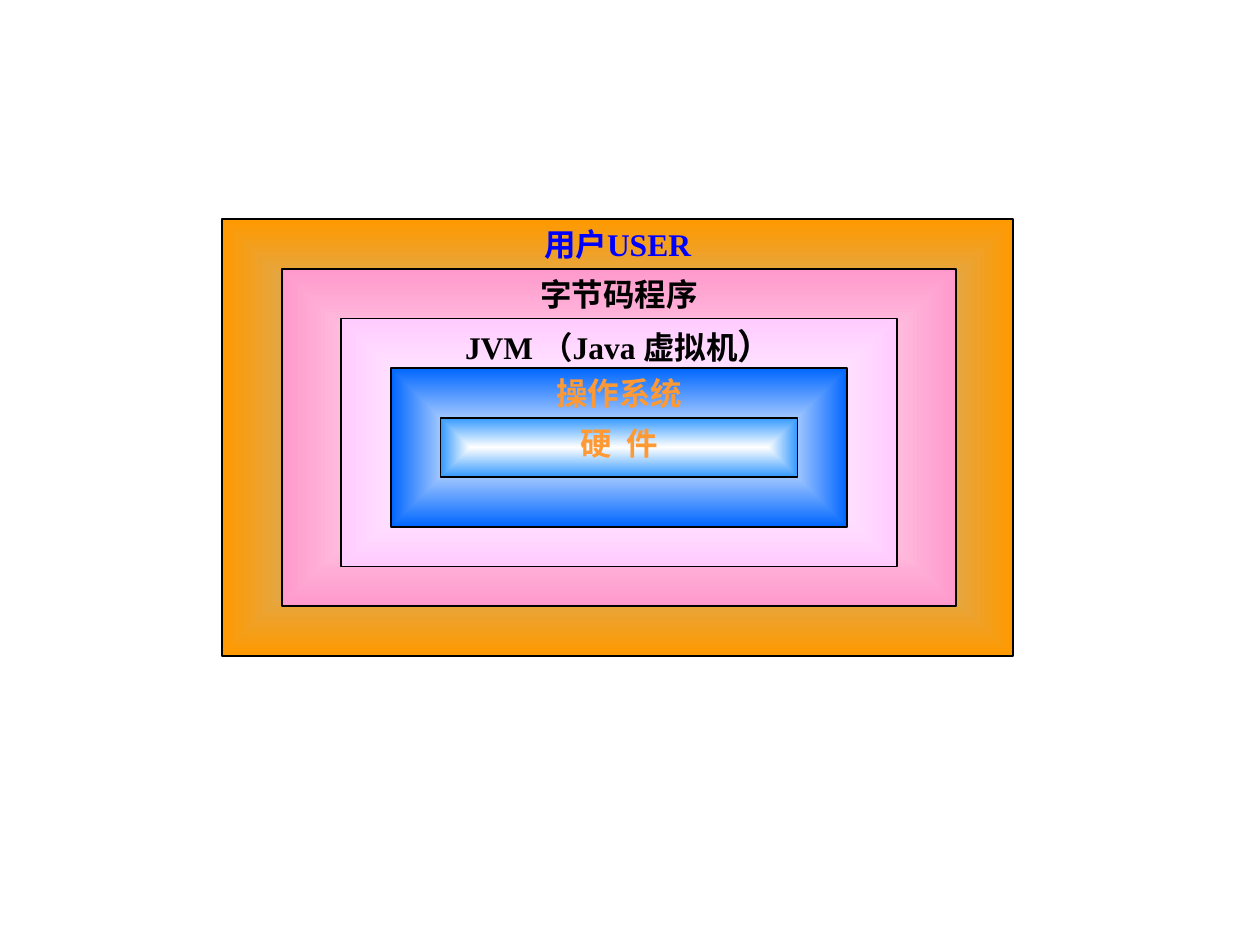
import pptx
import pptx.dml.color
import pptx.enum.shapes
import pptx.enum.text
import pptx.oxml.ns
import pptx.util
from lxml import etree

Cm = pptx.util.Cm
qn = pptx.oxml.ns.qn

LAYERS = [
    (0, 15.94, 8.8, "99CCFF", "FF9900", "0000FF", [("用户USER", 18)]),
    (1.2, 13.6, 6.8, "FFFFFF", "FF99CC", "000000", [("字节码程序", 18)]),
    (2.4, 11.2, 5, "FFFFFF", "FFCCFF", "000000", [("JVM （Java 虚拟机", 18), ("）", 20)]),
    (3.4, 9.2, 3.2, "FFFFFF", "0066FF", "FF9933", [("操作系统", 18)]),
    (4.4, 7.2, 1.2, "FFFFFF", "3399FF", "FF9933", [("硬  件", 18)]),
]


def tint(code):
    """Turn a hex string into a colour."""
    return pptx.dml.color.RGBColor.from_string(code)


def write(para, text, size=18, color="000000", bold=True, face="Times New Roman"):
    """Add one formatted run to a paragraph."""
    run = para.add_run()
    run.text = text
    run.font.size = pptx.util.Pt(size)
    run.font.bold = bold
    run.font.name = face
    run.font.color.rgb = tint(color)


def glow(shape, inner, outer):
    """Fill a shape with a gradient from its centre to its edge."""
    shape.fill.gradient()
    for stop, code, place in zip(shape.fill.gradient_stops, (inner, outer), (0, 1)):
        stop.color.rgb = tint(code)
        stop.position = place
    grad = shape.element.spPr.find(qn("a:gradFill"))
    grad.remove(grad.find(qn("a:lin")))
    route = etree.SubElement(grad, qn("a:path"), {"path": "shape"})
    etree.SubElement(route, qn("a:fillToRect"), dict.fromkeys("ltrb", "50000"))


def layer(slide, left, top, width, height, inner, outer, color, parts):
    """Draw one layer with its label at the top."""
    shape = slide.shapes.add_shape(
        pptx.enum.shapes.MSO_SHAPE.RECTANGLE, Cm(left), Cm(top), Cm(width), Cm(height)
    )
    shape.shadow.inherit = False
    glow(shape, inner, outer)
    shape.line.color.rgb = tint("000000")
    shape.line.width = pptx.util.Pt(1)
    frame = shape.text_frame
    frame.word_wrap = True
    frame.vertical_anchor = pptx.enum.text.MSO_ANCHOR.TOP
    para = frame.paragraphs[0]
    para.alignment = pptx.enum.text.PP_ALIGN.CENTER
    for text, size in parts:
        write(para, text, size=size, color=color)


def stack(slide, left, top, step=1):
    """Nest the layers, each one step below the top of the last."""
    for level, (inset, *rest) in enumerate(LAYERS):
        layer(slide, left + inset, top + level * step, *rest)


def main():
    """Build and save the slide."""
    deck = pptx.Presentation()
    deck.slide_width, deck.slide_height = Cm(25.4), Cm(19.05)
    stack(deck.slides.add_slide(deck.slide_layouts[6]), 4.48, 4.42)
    deck.save("out.pptx")


if __name__ == "__main__":
    main()
